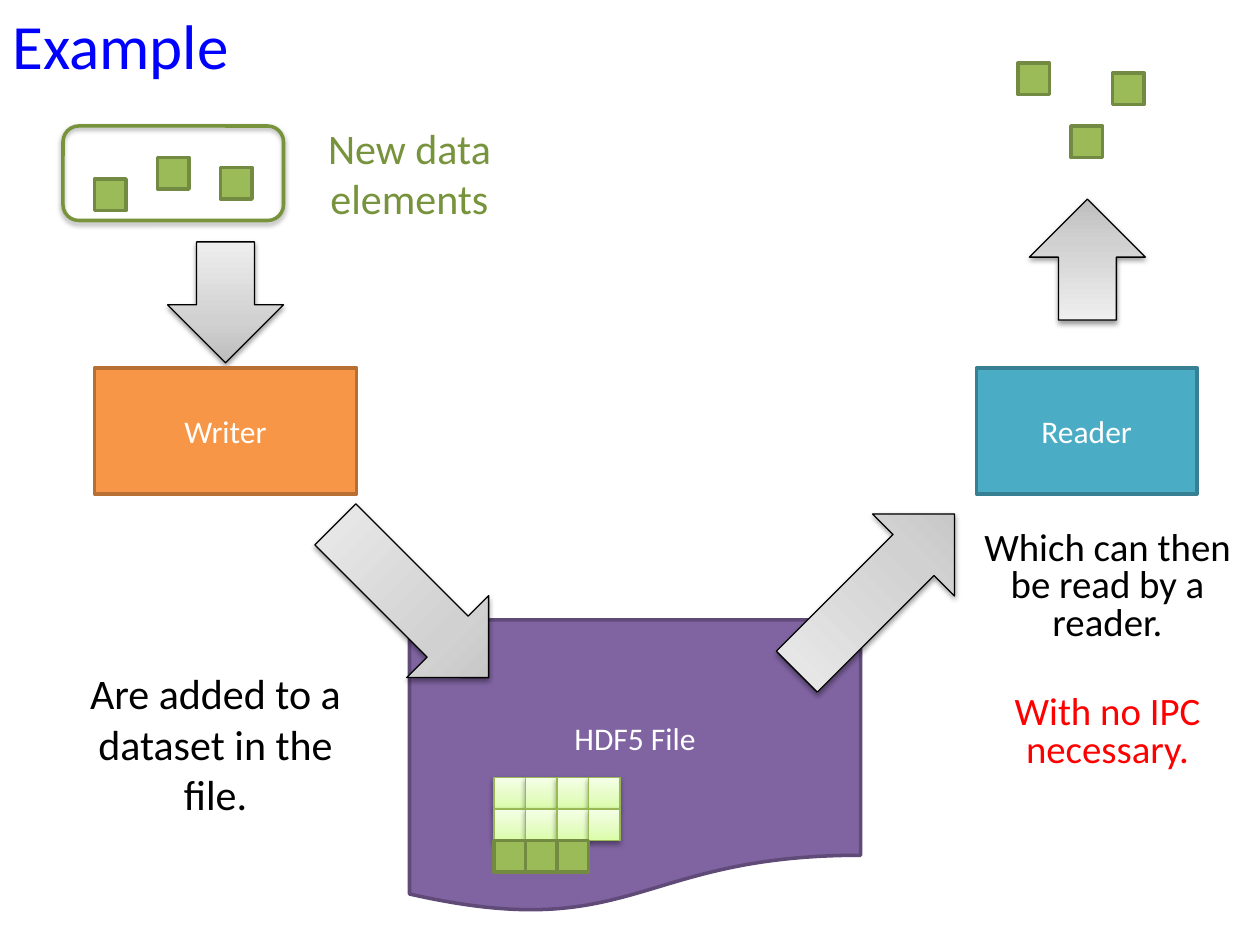
from pptx import Presentation
from pptx.dml.color import RGBColor
from pptx.enum.shapes import MSO_SHAPE
from pptx.enum.text import MSO_ANCHOR, PP_ALIGN
from pptx.oxml import parse_xml
from pptx.oxml.ns import nsdecls, qn
from pptx.util import Inches, Pt

FONT = "Calibri"
CELL = 0.25
COLORS = {
    "title": "0000FF", "text": "000000", "alert": "FF0000", "white": "FFFFFF",
    "new": "77933C", "element": "9BBB59", "element_line": "738A42",
    "stored_line": "98B955", "file": "8064A2", "file_line": "5F4A78",
    "writer": "F79646", "writer_line": "B76F34",
    "reader": "4BACC6", "reader_line": "377F92",
}
GRAY = ((0, "BDBDBD"), (35, "D1D1D1"), (100, "EEEEEE"))
PALE_GREEN = ((0, "DAFDA7"), (35, "E4FCC2"), (100, "F5FFE7"))


def color(name):
    return RGBColor.from_string(COLORS[name])


def add_outlined(page, kind, box, line, line_width):
    shape = page.shapes.add_shape(kind, *map(Inches, box))
    shape.shadow.inherit = False
    shape.line.color.rgb = color(line)
    shape.line.width = Pt(line_width)
    return shape


def add_solid(page, kind, box, fill, line, label=""):
    shape = add_outlined(page, kind, box, line, 2)
    shape.fill.solid()
    shape.fill.fore_color.rgb = color(fill)
    if label:
        frame = shape.text_frame
        frame.vertical_anchor = MSO_ANCHOR.MIDDLE
        para = frame.paragraphs[0]
        para.text = label
        style(para, 18, "white")


def add_shadow(shape, opacity):
    shape._element.spPr.find(qn("a:effectLst")).append(parse_xml(
        f'<a:outerShdw {nsdecls("a")} blurRad="{Pt(3.1)}" dist="{Pt(1.7)}" '
        f'dir="5400000" rotWithShape="0"><a:srgbClr val="000000">'
        f'<a:alpha val="{opacity * 1000}"/></a:srgbClr></a:outerShdw>'))


def add_shaded(page, kind, box, stops, line):
    """Add a shape with a vertical gradient and a soft shadow."""
    shape = add_outlined(page, kind, box, line, 0.75)
    shape.fill.gradient()
    shape.fill.gradient_angle = 90
    stop_list = shape._element.spPr.find(qn("a:gradFill")).find(qn("a:gsLst"))
    for stop in list(stop_list):
        stop_list.remove(stop)
    for position, value in stops:
        stop_list.append(parse_xml(
            f'<a:gs {nsdecls("a")} pos="{position * 1000}">'
            f'<a:srgbClr val="{value}"/></a:gs>'))
    add_shadow(shape, 38)
    return shape


def add_arrow(page, box, rotation=0):
    arrow = add_shaded(page, MSO_SHAPE.DOWN_ARROW, box, GRAY, "text")
    arrow.rotation = rotation


def add_element(page, left, top):
    add_solid(page, MSO_SHAPE.RECTANGLE, (left, top, CELL, CELL),
              "element", "element_line")


def style(para, size, name, align=PP_ALIGN.CENTER):
    para.alignment = align
    para.font.name = FONT
    para.font.size = Pt(size)
    para.font.color.rgb = color(name)


def add_text(page, box, text, size, name, align=PP_ALIGN.CENTER):
    frame = page.shapes.add_textbox(*map(Inches, box)).text_frame
    frame.word_wrap = True
    frame.text = text
    style(frame.paragraphs[0], size, name, align)
    return frame


def add_file(page, left, top, width, height):
    add_solid(page, MSO_SHAPE.FLOWCHART_DOCUMENT, (left, top, width, height),
              "file", "file_line", "HDF5 File")
    grid_left, grid_top = left + 0.67, top + 1.25
    for row in range(2):
        for column in range(4):
            cell = (grid_left + column * CELL, grid_top + row * CELL, CELL, CELL)
            add_shaded(page, MSO_SHAPE.RECTANGLE, cell, PALE_GREEN, "stored_line")
    for column in range(3):
        add_element(page, grid_left + column * CELL, grid_top + 2 * CELL)


def add_writer_side(page, left, top):
    for x, y in ((0.25, 0.42), (0.75, 0.25), (1.25, 0.33)):
        add_element(page, left + x, top + y)
    group = add_outlined(page, MSO_SHAPE.ROUNDED_RECTANGLE,
                         (left, top, 1.75, 0.75), "new", 2)
    group.fill.background()
    add_shadow(group, 35)
    add_text(page, (left + 1.75, top - 0.08, 2, 1.33), "New data elements", 24, "new")
    add_arrow(page, (left + 0.83, top + 0.92, 0.92, 0.96))
    add_solid(page, MSO_SHAPE.RECTANGLE, (left + 0.25, top + 1.92, 2.08, 1),
              "writer", "writer_line", "Writer")
    add_arrow(page, (left + 2.31, top + 2.91, 0.92, 1.72), 315)
    add_text(page, (left, top + 4.25, 2.42, 1.33),
             "Are added to a dataset in the file.", 24, "text")


def add_reader_side(page, left, top):
    for x, y in ((0.5, 0), (0.92, 0.5), (1.25, 0.08)):
        add_element(page, left + x, top + y)
    add_arrow(page, (left + 0.59, top + 1.08, 0.92, 0.96), 180)
    add_solid(page, MSO_SHAPE.RECTANGLE, (left + 0.17, top + 2.42, 1.75, 1),
              "reader", "reader_line", "Reader")
    add_arrow(page, (left - 1.09, top + 3.32, 0.92, 1.77), 225)
    frame = add_text(page, (left, top + 3.67, 2.42, 2.08),
                     "Which can then be read by a reader.", 22.2, "text")
    closing = frame.add_paragraph()
    closing.text = "With no IPC necessary."
    style(closing, 22.2, "alert")
    closing.space_before = Pt(30)
    for para in frame.paragraphs:
        para.line_spacing = 0.8


def main():
    deck = Presentation()
    deck.slide_width, deck.slide_height = Inches(10), Inches(7.5)
    page = deck.slides.add_slide(deck.slide_layouts[6])
    add_file(page, 3.25, 4.92, 3.58, 2.33)
    add_writer_side(page, 0.5, 1)
    add_reader_side(page, 7.58, 0.5)
    add_text(page, (0, 0, 5.33, 0.75), "Example", 36, "title", PP_ALIGN.LEFT)
    deck.save("out.pptx")


if __name__ == "__main__":
    main()
